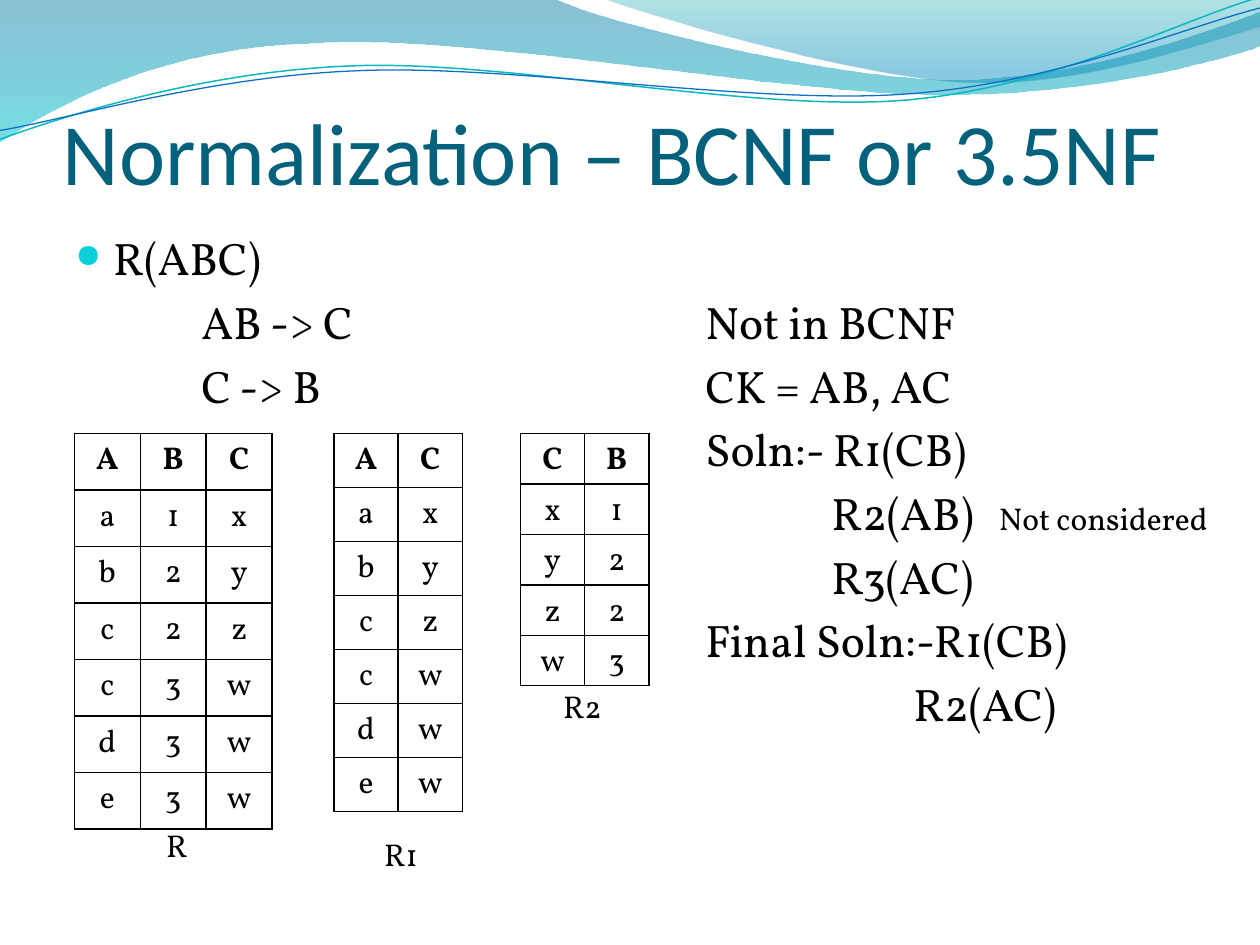
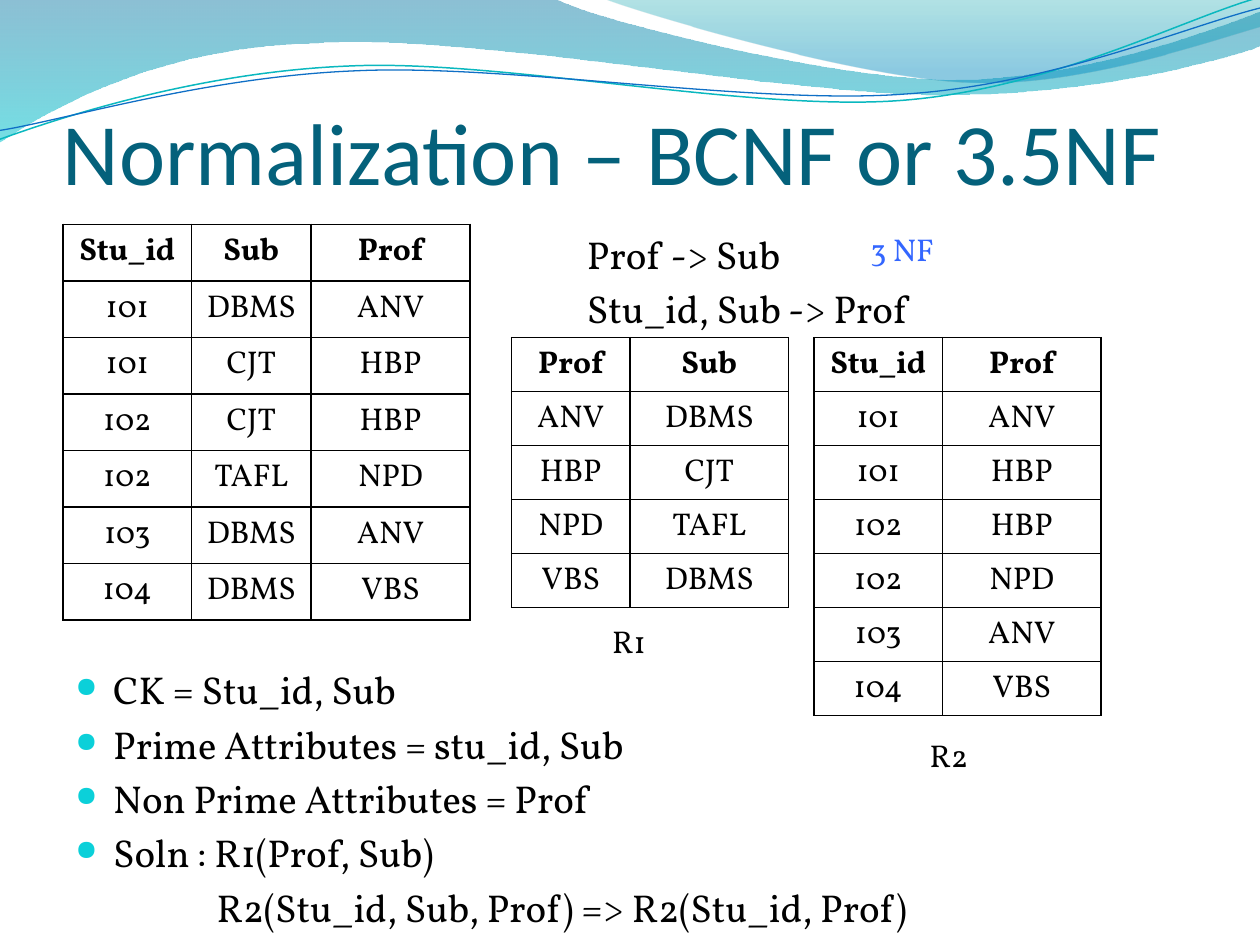
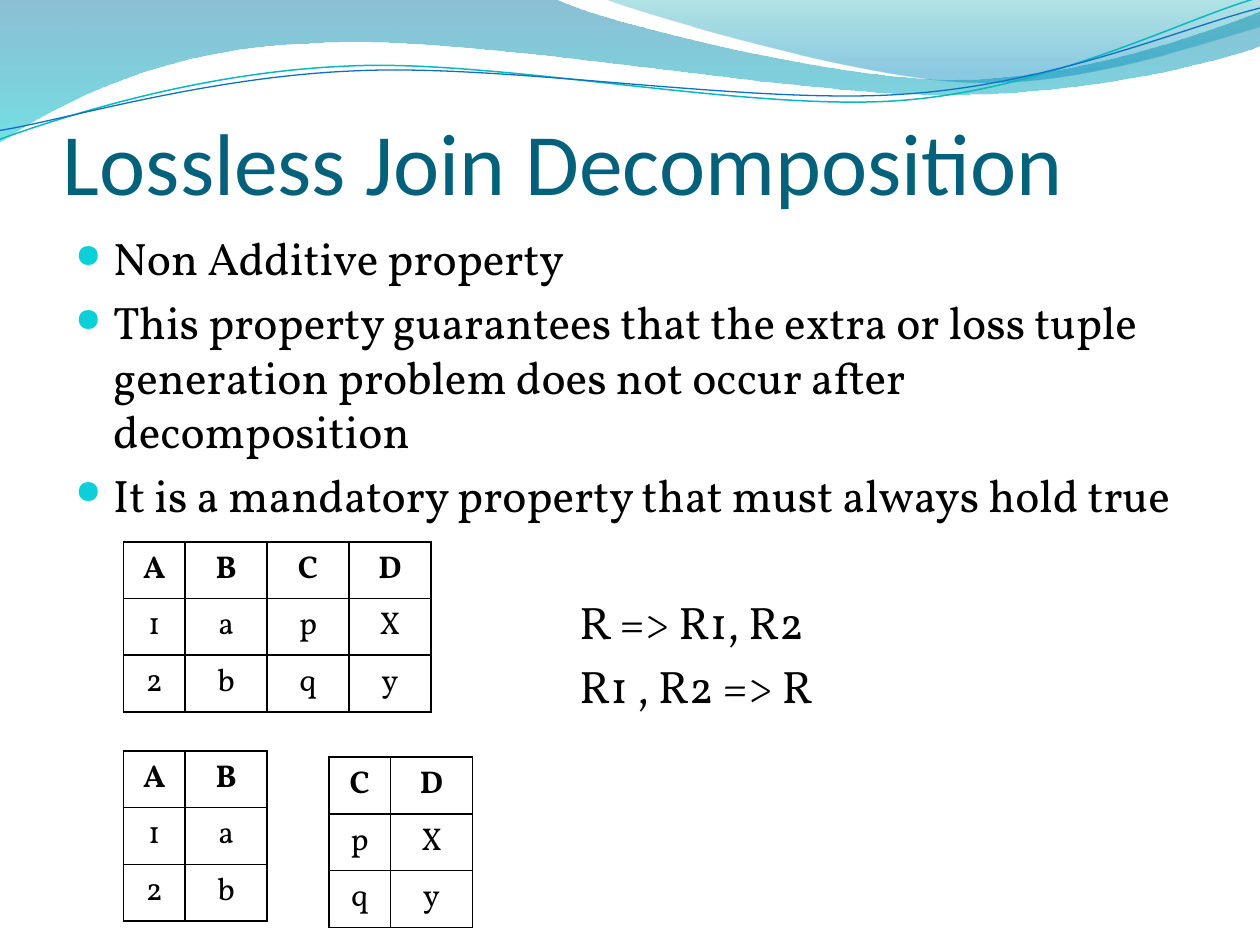
import dataclasses

import pptx
import pptx.dml.color
import pptx.enum.text
import pptx.oxml.ns
import pptx.util
from lxml import etree

Inches = pptx.util.Inches
Pt = pptx.util.Pt
qn = pptx.oxml.ns.qn


@dataclasses.dataclass(frozen=True)
class Theme:
    heading_font: str = "Calibri"
    body_font: str = "Vollkorn"
    title_color: str = "04617B"
    ink: str = "000000"
    paper: str = "FFFFFF"
    bullet: str = "0BD0D9"
    accent: str = "3366FF"
    title_size: float = 50
    body_size: float = 26
    compact_size: float = 22.2
    small_size: float = 18
    body_top: float = 1.78


THEME = Theme()

BANDS = [
    ([(0, "0074A1", 45), (1, "00C6CF", 55)],
     [[(0, 0)], [(4.4, -0.01)],
      [(4.76, 0.17), (6.64, 0.63), (7.58, 0.63)],
      [(8.53, 0.63), (9.58, 0.26), (10, 0.09)],
      [(10.01, 0.36)],
      [(9.83, 0.44), (8.7, 0.76), (7.46, 0.75)],
      [(6.22, 0.75), (3.82, 0.28), (2.57, 0.34)],
      [(1.29, 0.36), (0.46, 0.83), (-0.01, 1.13)],
      [(0, 0)]]),
    ([(0, "00A1A9", 30), (0.8, "008BBF", 45)],
     [[(4.79, -0.01)],
      [(5.09, 0.11), (6.82, 0.62), (7.69, 0.65)],
      [(8.56, 0.69), (9.61, 0.32), (10, 0.21)],
      [(10, 0)],
      [(4.79, -0.01)]]),
]
WAVE_ROTATION = 357.3
WAVES = [
    ("0AB8BF", 0.85,
     [[(-0.02, 0.87)],
      [(0.47, 0.72), (1.58, 0.41), (2.78, 0.42)],
      [(3.96, 0.42), (5.91, 0.93), (7.12, 0.9)],
      [(8.32, 0.87), (9.4, 0.36), (10, 0.22)]]),
    ("0F6FC6", 0.75,
     [[(-0.02, 0.8)],
      [(0.46, 0.75), (1.64, 0.45), (2.83, 0.46)],
      [(4.03, 0.46), (5.96, 0.88), (7.16, 0.85)],
      [(8.35, 0.83), (9.42, 0.42), (10.02, 0.3)]]),
]


def rgb(color):
    return pptx.dml.color.RGBColor.from_string(color)


def add_node(parent, tag, **attributes):
    return etree.SubElement(parent, qn(tag), attributes)


def add_outline(page, segments, close):
    points = [(Inches(x), Inches(y)) for segment in segments for x, y in segment]
    builder = page.shapes.build_freeform(*points[0])
    builder.add_line_segments(points[1:], close=close)
    shape = builder.convert_to_shape()
    shape.shadow.inherit = False
    bend_curves(shape, segments[1:])
    return shape


def bend_curves(shape, segments):
    lines = iter(list(shape._element.iter(qn("a:lnTo"))))
    for segment in segments:
        group = [next(lines) for _ in segment]
        if len(group) == 3:
            curve = etree.Element(qn("a:cubicBezTo"))
            group[0].addprevious(curve)
            for line in group:
                curve.append(line[0])
                line.getparent().remove(line)


def add_band(page, stops, segments):
    band = add_outline(page, segments, True)
    band.line.fill.background()
    band.fill.gradient()
    band.fill.gradient_angle = 270
    for stop, (position, color, _) in zip(band.fill.gradient_stops, stops):
        stop.position = position
        stop.color.rgb = rgb(color)
    for node, (_, _, opacity) in zip(band._element.iter(qn("a:srgbClr")), stops):
        add_node(node, "a:alpha", val=str(opacity * 1000))


def add_wave(page, color, width, segments):
    wave = add_outline(page, segments, False)
    wave.rotation = WAVE_ROTATION
    wave.fill.background()
    wave.line.color.rgb = rgb(color)
    wave.line.width = Pt(width)


def write(frame, text, size=THEME.small_size, font=THEME.body_font, color=THEME.ink,
          bold=False, align=None, before=None, bullet=False, tabs=()):
    para = frame.paragraphs[0]
    if para.runs:
        para = frame.add_paragraph()
    para.alignment = align
    if before is not None:
        para.space_before = Pt(before)
    properties = para._p.get_or_add_pPr()
    if bullet:
        properties.set("marL", str(Inches(0.3)))
        properties.set("indent", str(-Inches(0.3)))
        add_node(add_node(properties, "a:buClr"), "a:srgbClr", val=THEME.bullet)
        add_node(properties, "a:buSzPct", val="72000")
        add_node(properties, "a:buChar", char="●")
    if tabs:
        stops = add_node(properties, "a:tabLst")
        for position in tabs:
            add_node(stops, "a:tab", pos=str(Inches(position)), algn="l")
    span = para.add_run()
    span.text = text
    span.font.size = Pt(size)
    span.font.name = font
    span.font.bold = bold
    span.font.color.rgb = rgb(color)


def add_box(page, left, top, width, height):
    box = page.shapes.add_textbox(Inches(left), Inches(top), Inches(width), Inches(height))
    box.text_frame.word_wrap = True
    return box.text_frame


def add_body(page, width, height, lines, size=THEME.body_size):
    frame = add_box(page, 0.5, THEME.body_top, width, height)
    for text, layout in lines:
        write(frame, text, size=size, **{"before": round(size * 0.2, 1), **layout})


def add_caption(page, text, left, top, width=0.79, color=THEME.ink):
    write(add_box(page, left, top, width, 0.4), text, color=color)


def add_relation(page, left, top, widths, height, rows):
    frame = page.shapes.add_table(len(rows), len(widths), Inches(left), Inches(top),
                                  Inches(sum(widths)), Inches(height))
    table = frame.table
    table.first_row = table.horz_banding = False
    for column, width in zip(table.columns, widths):
        column.width = Inches(width)
    for row_index, values in enumerate(rows):
        for column_index, value in enumerate(values):
            cell = table.cell(row_index, column_index)
            write(cell.text_frame, value, bold=row_index == 0,
                  align=pptx.enum.text.PP_ALIGN.CENTER)
            add_borders(cell)
            cell.fill.solid()
            cell.fill.fore_color.rgb = rgb(THEME.paper)


def add_borders(cell):
    properties = cell._tc.get_or_add_tcPr()
    for side in ("a:lnL", "a:lnR", "a:lnT", "a:lnB"):
        line = add_node(properties, side, w=str(Pt(1)))
        add_node(add_node(line, "a:solidFill"), "a:srgbClr", val=THEME.ink)


def add_page(deck, title, title_top=0.36):
    page = deck.slides.add_slide(deck.slide_layouts[6])
    for stops, segments in BANDS:
        add_band(page, stops, segments)
    for color, width, segments in WAVES:
        add_wave(page, color, width, segments)
    frame = add_box(page, 0.5, title_top, 9, 1.25)
    frame.vertical_anchor = pptx.enum.text.MSO_ANCHOR.BOTTOM
    frame.margin_left = frame.margin_right = frame.margin_bottom = 0
    write(frame, title, size=THEME.title_size, font=THEME.heading_font, color=THEME.title_color)
    return page


def tabbed(text, *tabs, **layout):
    return text, {"tabs": tabs, **layout}


def bullet(text, **layout):
    return text, {"bullet": True, **layout}


def build_abc_example(deck):
    page = add_page(deck, "Normalization – BCNF or 3.5NF")
    add_body(page, 9.15, 5.35, [
        bullet("R(ABC)"),
        tabbed("\tAB -> C\tNot in BCNF", 1, 5),
        tabbed("\tC -> B\tCK = AB, AC", 1, 5),
        tabbed("\tSoln:- R1(CB)", 5),
        tabbed("\tR2(AB)", 6),
        tabbed("\tR3(AC)", 6),
        tabbed("\tFinal Soln:-R1(CB)", 5),
        tabbed("\tR2(AC)", 6.65),
    ])
    top = 3.44
    add_relation(page, 0.59, top, [1.57 / 3] * 3, 3.14,
                 ["ABC", "a1x", "b2y", "c2z", "c3w", "d3w", "e3w"])
    add_caption(page, "Not considered", 7.83, 3.91, 1.89)
    add_relation(page, 2.65, top, [0.51] * 2, 3, ["AC", "ax", "by", "cz", "cw", "dw", "ew"])
    add_caption(page, "R", 1.22, 6.51, 0.55)
    add_caption(page, "R1", 2.95, 6.58, 0.55)
    add_relation(page, 4.13, top, [0.51] * 2, 2, ["CB", "x1", "y2", "z2", "w3"])
    add_caption(page, "R2", 4.37, 5.4, 0.55)


def build_student_example(deck):
    page = add_page(deck, "Normalization – BCNF or 3.5NF")
    add_body(page, 9.15, 5.35, [
        tabbed("\tProf -> Sub", 4.06),
        tabbed("\tStu_id, Sub -> Prof", 4.06),
        bullet("CK = Stu_id, Sub", before=191.2),
        bullet("Prime Attributes = stu_id, Sub"),
        bullet("Non Prime Attributes = Prof"),
        bullet("Soln : R1(Prof, Sub)"),
        tabbed("\tR2(Stu_id, Sub, Prof) => R2(Stu_id, Prof)", 1.12),
    ], THEME.compact_size)
    enrolments = [
        ("Stu_id", "Sub", "Prof"),
        ("101", "DBMS", "ANV"),
        ("101", "CJT", "HBP"),
        ("102", "CJT", "HBP"),
        ("102", "TAFL", "NPD"),
        ("103", "DBMS", "ANV"),
        ("104", "DBMS", "VBS"),
    ]
    teaching = list(dict.fromkeys((prof, sub) for _, sub, prof in enrolments))
    students = [(student, prof) for student, _, prof in enrolments]
    add_relation(page, 0.5, THEME.body_top, [1.02, 0.95, 1.26], 3.14, enrolments)
    add_caption(page, "3 NF", 6.81, THEME.body_top, 2.05, THEME.accent)
    add_relation(page, 4.06, 2.68, [0.94, 1.26], 2.14, teaching)
    add_caption(page, "R1", 4.76, 4.89)
    add_relation(page, 6.46, 2.68, [1.02, 1.26], 3, students)
    add_caption(page, "R2", 7.28, 5.79)


def build_lossless_join(deck):
    page = add_page(deck, "Lossless Join Decomposition", 0.44)
    add_body(page, 9, 4.8, [
        bullet("Non Additive property"),
        bullet("This property guarantees that the extra or loss tuple generation problem "
               "does not occur after decomposition"),
        bullet("It is a mandatory property that must always hold true"),
        tabbed("\tR => R1, R2", 4, before=41.7),
        tabbed("\tR1 , R2 => R", 4),
    ])
    whole = ["ABCD", "1apX", "2bqy"]
    height = 1.35
    add_relation(page, 0.98, 4.3, [0.49] + [0.65] * 3, height, whole)
    add_relation(page, 0.98, 5.96, [0.49, 0.65], height, [row[:2] for row in whole])
    add_relation(page, 2.61, 6.01, [0.49, 0.65], height, [row[2:] for row in whole])


def main():
    deck = pptx.Presentation()
    deck.slide_width = Inches(10)
    deck.slide_height = Inches(7.5)
    build_abc_example(deck)
    build_student_example(deck)
    build_lossless_join(deck)
    deck.save("out.pptx")


if __name__ == "__main__":
    main()
